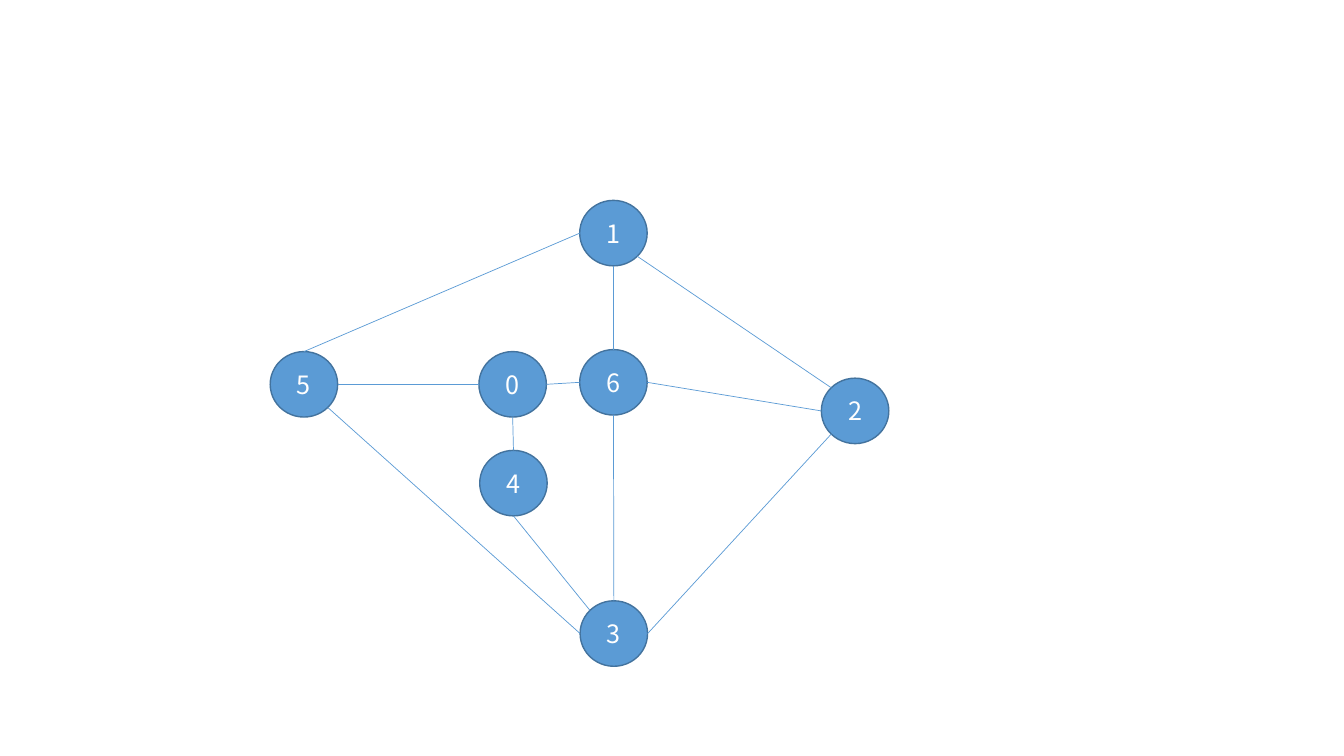
from math import cos, radians, sin

from lxml.etree import SubElement
from pptx import Presentation
from pptx.dml.color import RGBColor as RGB
from pptx.enum.shapes import MSO_CONNECTOR as LINK, MSO_SHAPE as SHAPE
from pptx.enum.text import MSO_ANCHOR as ANCHOR, PP_ALIGN as ALIGN
from pptx.oxml.ns import qn
from pptx.util import Cm, Pt

HUES = {"node": "5B9BD5", "rim": "43739E", "edge": "5B9BD5", "text": "FFFFFF"}
FONT = "Noto Sans CJK KR"
WIDE, HIGH = 1.7, 1.65  # node size in cm

# Top left corner of each node, in cm from the corner of the graph
NODES = {
    "0": (5.26, 3.81),
    "1": (7.8, 0),
    "2": (13.89, 4.48),
    "3": (7.81, 10.09),
    "4": (5.28, 6.3),
    "5": (0, 3.81),
    "6": (7.8, 3.76),
}

# Points on a node's rim, in degrees clockwise from the right
RIM = {"E": 0, "SE": 45, "S": 90, "SW": 135, "W": 180, "NW": 225, "N": 270}

# Each edge: node, rim point, node, rim point
EDGES = [
    ("2", "W", "6", "E"),
    ("1", "S", "6", "N"),
    ("0", "E", "6", "W"),
    ("3", "N", "6", "S"),
    ("0", "W", "5", "E"),
    ("5", "SE", "3", "W"),
    ("0", "S", "4", "N"),
    ("4", "S", "3", "NW"),
    ("3", "E", "2", "SW"),
    ("1", "SE", "2", "NW"),
    ("1", "W", "5", "N"),
]


def hue(name):
    return RGB.from_string(HUES[name])


def write(shape, text, size=18, color="text", align=ALIGN.CENTER):
    frame = shape.text_frame
    frame.vertical_anchor = ANCHOR.MIDDLE
    para = frame.paragraphs[0]
    para.alignment = align
    run = para.add_run()
    run.text = text
    run.font.name = FONT
    run.font.size = Pt(size)
    run.font.color.rgb = hue(color)


def add_node(slide, label, x, y):
    node = slide.shapes.add_shape(SHAPE.OVAL, Cm(x), Cm(y), Cm(WIDE), Cm(HIGH))
    node.shadow.inherit = False
    node.fill.solid()
    node.fill.fore_color.rgb = hue("node")
    node.line.color.rgb = hue("rim")
    node.line.width = Pt(1)
    write(node, label)


def rim_point(x, y, side):
    turn = radians(RIM[side])
    return (Cm(x + WIDE / 2 * (1 + cos(turn))),
            Cm(y + HIGH / 2 * (1 + sin(turn))))


def add_edge(slide, start, end):
    edge = slide.shapes.add_connector(LINK.STRAIGHT, *start, *end)
    edge.line.color.rgb = hue("edge")
    edge.line.width = Pt(0.5)
    SubElement(edge._element.spPr, qn("a:effectLst"))


def add_graph(slide, left, top):
    spots = {name: (left + x, top + y) for name, (x, y) in NODES.items()}
    # Nodes
    for name, spot in spots.items():
        add_node(slide, name, *spot)
    # Edges
    for tail, out, head, into in EDGES:
        add_edge(slide, rim_point(*spots[tail], out),
                 rim_point(*spots[head], into))


def main():
    deck = Presentation()
    deck.slide_width, deck.slide_height = Cm(33.87), Cm(19.05)
    slide = deck.slides.add_slide(deck.slide_layouts[6])
    add_graph(slide, 6.81, 5.05)
    deck.save("out.pptx")


if __name__ == "__main__":
    main()
